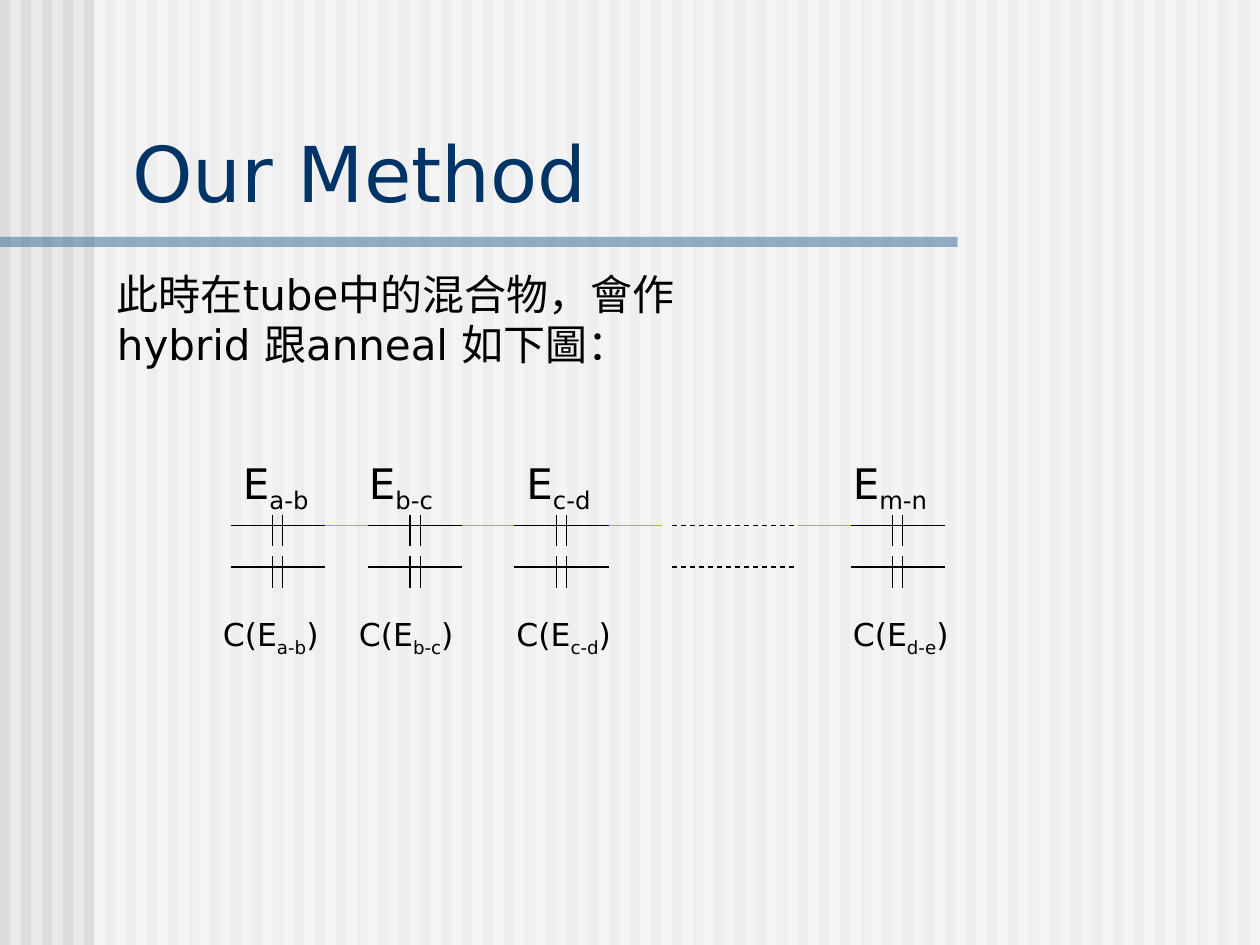
"""Build the "Our Method" slide: strands annealing in the tube, over a striped backdrop."""
import pptx
import pptx.dml.color
import pptx.enum.dml
import pptx.enum.shapes
import pptx.enum.text
import pptx.oxml
import pptx.oxml.ns
import pptx.util

Inches = pptx.util.Inches
COLORS = {
    "paper": "EAEAEA", "stripe": "DDDDDD", "veil": "FFFFFF", "rule": "336699",
    "heading": "003366", "ink": "000000", "linker": "99CC00",
}
RGB = {part: pptx.dml.color.RGBColor.from_string(code) for part, code in COLORS.items()}
FRAME = {
    "word_wrap": True, "auto_size": pptx.enum.text.MSO_AUTO_SIZE.NONE,
    "margin_left": Inches(0.1), "margin_right": Inches(0.1),
    "margin_top": Inches(0.05), "margin_bottom": Inches(0.05),
}

deck = pptx.Presentation()
deck.slide_width, deck.slide_height = Inches(10), Inches(7.5)
slide = deck.slides.add_slide(deck.slide_layouts[5])
slide.background.fill.solid()
slide.background.fill.fore_color.rgb = RGB["paper"]


def write(holder, box, pieces, size, color="ink"):
    """Place a text holder and fill it with (text, baseline) pieces."""
    for side, length in zip(("left", "top", "width", "height"), box):
        setattr(holder, side, Inches(length))
    for name, value in FRAME.items():
        setattr(holder.text_frame, name, value)
    paragraph = holder.text_frame.paragraphs[0]
    paragraph.alignment = pptx.enum.text.PP_ALIGN.LEFT
    for text, baseline in pieces:
        run = paragraph.add_run()
        run.text = text
        font_format = {"name": "DejaVu Sans", "size": pptx.util.Pt(size)}
        for name, value in font_format.items():
            setattr(run.font, name, value)
        run.font.color.rgb = RGB[color]
        if baseline:
            run._r.get_or_add_rPr().set("baseline", str(baseline * 1000))


def draw_line(x1, y1, x2, y2, color="ink", dash=None):
    """Draw a thin straight line without a shadow."""
    line = slide.shapes.add_connector(
        pptx.enum.shapes.MSO_CONNECTOR.STRAIGHT, Inches(x1), Inches(y1), Inches(x2), Inches(y2))
    line.line.color.rgb = RGB[color]
    line_format = {"width": pptx.util.Pt(0.75), "dash_style": dash}
    for name, value in line_format.items():
        setattr(line.line, name, value)
    line.element.spPr.append(pptx.oxml.parse_xml(
        f"<a:effectLst {pptx.oxml.ns.nsdecls('a')}/>"))


backdrop = [(i / 6, 0, 0.08, 7.5, "stripe", None) for i in range(60)]
backdrop += [(0.75, 0, 9.25, 7.5, "veil", 50), (0, 1.88, 7.6, 0.08, "rule", 50)]
for left, top, width, height, color, opacity in backdrop:
    band = slide.shapes.add_shape(
        pptx.enum.shapes.MSO_SHAPE.RECTANGLE,
        Inches(left), Inches(top), Inches(width), Inches(height))
    band.shadow.inherit = False
    band.fill.solid()
    band.fill.fore_color.rgb = RGB[color]
    band.line.fill.background()
    if opacity:
        tint = band.element.spPr.find(".//" + pptx.oxml.ns.qn("a:srgbClr"))
        tint.append(pptx.oxml.parse_xml(
            f'<a:alpha {pptx.oxml.ns.nsdecls("a")} val="{opacity * 1000}"/>'))

heading = slide.shapes.title
slide.shapes.element.append(heading.element)
write(heading, (0.95, 0.94, 8.93, 0.84), [("Our Method", 0)], 44, "heading")
heading.text_frame.vertical_anchor = pptx.enum.text.MSO_ANCHOR.BOTTOM

explanation = slide.shapes.add_textbox(0, 0, 0, 0)
write(explanation, (0.83, 2.08, 5.42, 0.9),
      [("此時在tube中的混合物，會作hybrid 跟anneal 如下圖：", 0)], 24)

STRAND_ROWS = (4.17, 4.5)
STRAND_LENGTH = 0.75
strands = [
    (1.83, "a-b", 1.83, 0.83, "a-b", 1.67),
    (2.92, "b-c", 2.83, 0.83, "b-c", 2.75),
    (4.08, "c-d", 4.08, 0.83, "c-d", 4),
    (6.75, "m-n", 6.67, 1, "d-e", 6.67),
]
for start, edge, edge_left, edge_width, complement, complement_left in strands:
    for row in STRAND_ROWS:
        draw_line(start, row, start + STRAND_LENGTH, row)
        for bond in (start + 0.335, start + 0.415):
            draw_line(bond, row - 0.085, bond, row + 0.165)
    write(slide.shapes.add_textbox(0, 0, 0, 0), (edge_left, 3.58, edge_width, 0.56),
          [("E", 0), (edge, -25)], 24)
    write(slide.shapes.add_textbox(0, 0, 0, 0), (complement_left, 4.83, 1, 0.44),
          [("C(E", 0), (complement, -25), (")", 0)], 18)

for row in STRAND_ROWS:
    draw_line(5.33, row, 6.33, row, dash=pptx.enum.dml.MSO_LINE.DASH)
for left, right in ((2.58, 2.92), (3.67, 4.08), (4.83, 5.25), (6.33, 6.75)):
    draw_line(left, STRAND_ROWS[0], right, STRAND_ROWS[0], "linker")

deck.save("out.pptx")
